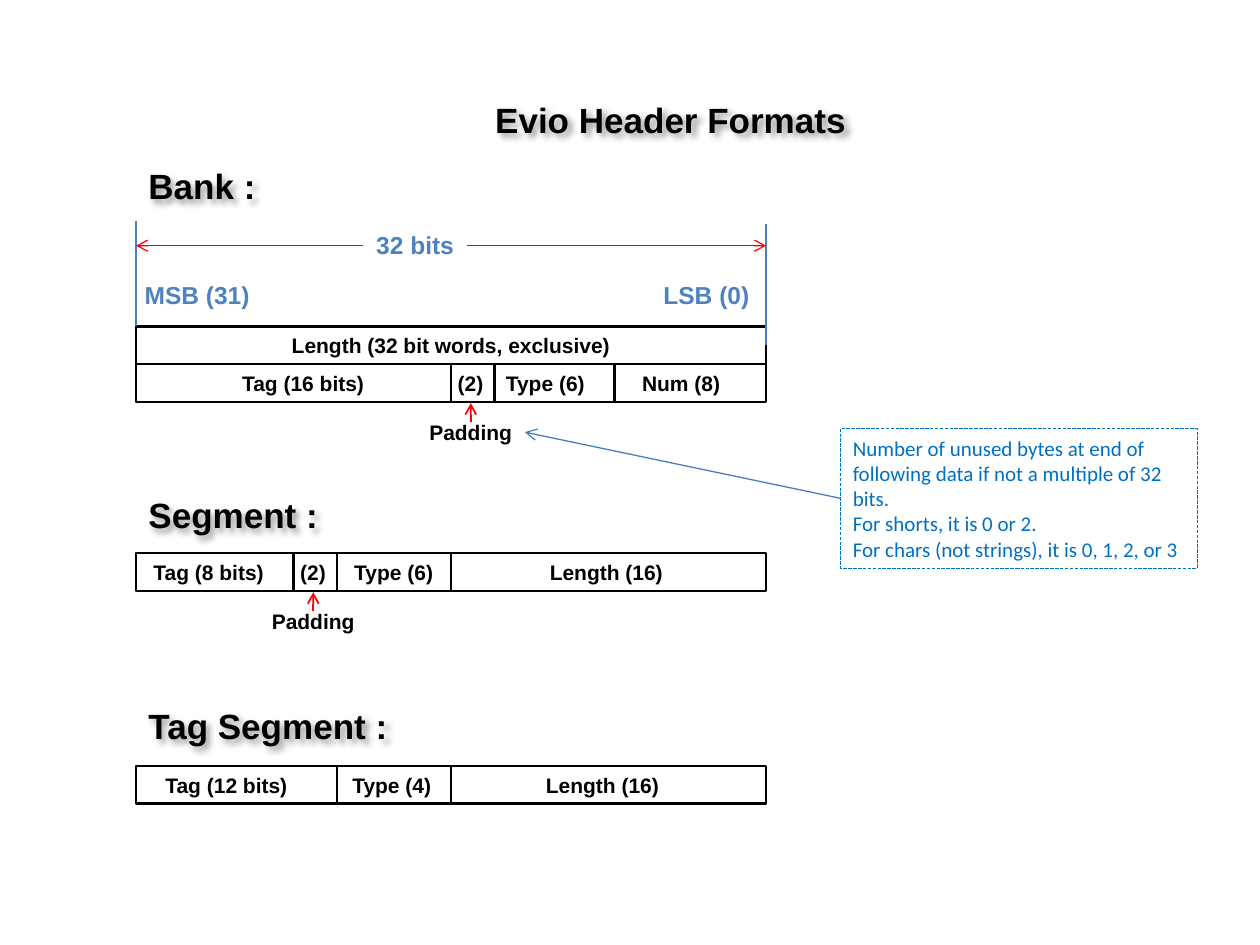
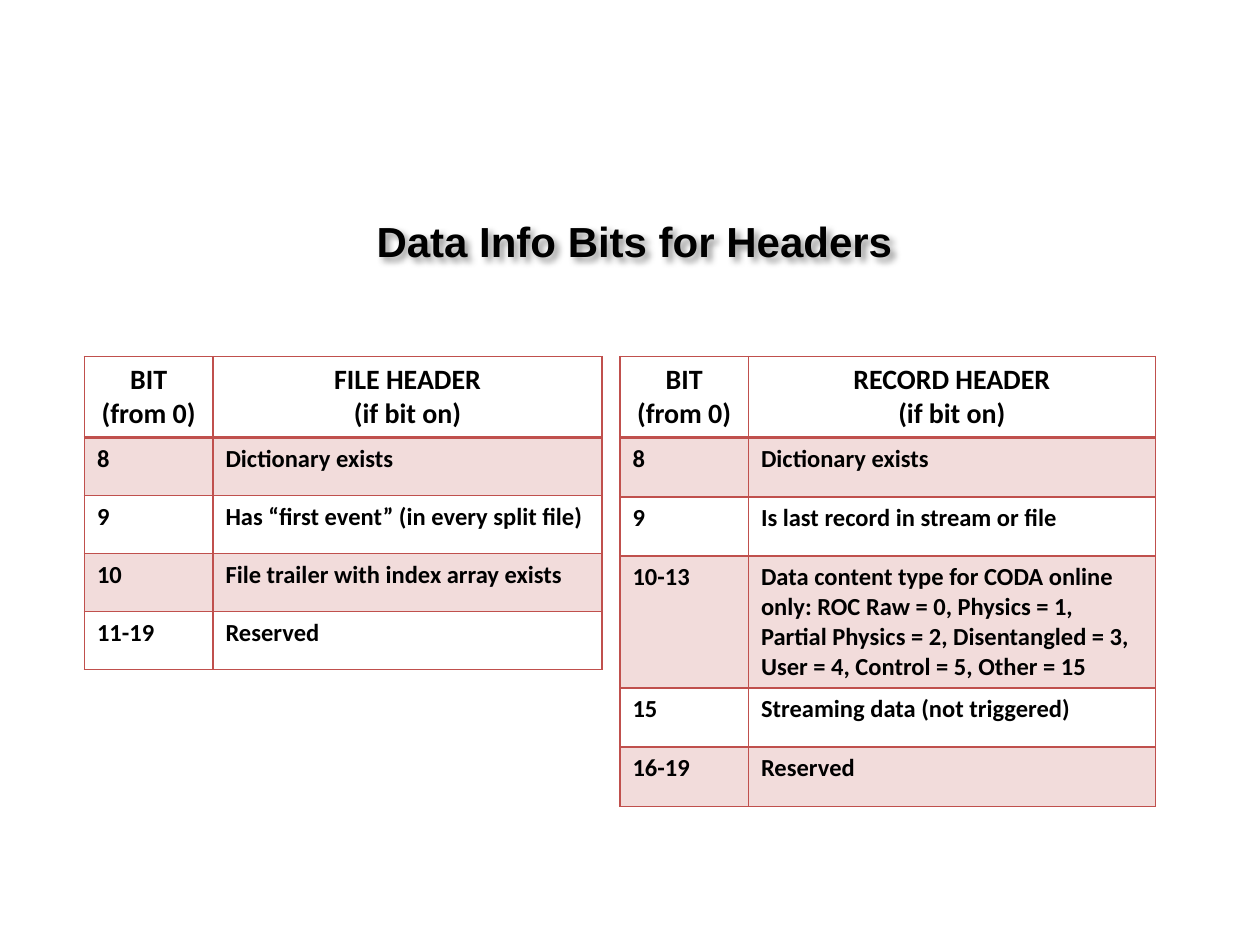
from collections import namedtuple

from lxml import etree
from pptx import Presentation
from pptx.dml.color import RGBColor
from pptx.enum.dml import MSO_LINE
from pptx.enum.shapes import MSO_CONNECTOR, MSO_SHAPE
from pptx.enum.text import MSO_ANCHOR, MSO_AUTO_SIZE, PP_ALIGN
from pptx.oxml import parse_xml
from pptx.oxml.ns import nsdecls, qn
from pptx.util import Inches, Pt

LEFT, CENTER = PP_ALIGN.LEFT, PP_ALIGN.CENTER
TOP, MIDDLE = MSO_ANCHOR.TOP, MSO_ANCHOR.MIDDLE
STRAIGHT, RECTANGLE = MSO_CONNECTOR.STRAIGHT, MSO_SHAPE.RECTANGLE
LONG_DASH, NO_AUTOSIZE = MSO_LINE.LONG_DASH, MSO_AUTO_SIZE.NONE

BLACK, RED, RULE_BLUE, LABEL_BLUE, NOTE_BLUE = (
    "000000", "FF0000", "4B7EBC", "4F81BD", "0070C0")
BORDER, BAND = "C0504D", "F2DCDB"
TITLE_ONLY = 5

# A 32-bit word is 32 columns wide and one row high
BIT, ROW = 5 / 32, 0.3
WORD_WIDTH = 32 * BIT
WORD_LEFT = 1.08
INSET = 0.1

Box = namedtuple("Box", "left top width height")
# A field has its text, the column of its centre and the column where it ends
Field = namedtuple("Field", "text centre end")

BANK_FIELDS = [Field("Tag (16 bits)", 8.5, 16), Field("(2)", 17, 18.2),
               Field("Type (6)", 20.8, 24.3), Field("Num (8)", 27.7, 32)]
SEGMENT_FIELDS = [Field("Tag (8 bits)", 3.7, 8), Field("(2)", 9, 10.2),
                  Field("Type (6)", 13.1, 16), Field("Length (16)", 23.9, 32)]
TAG_SEGMENT_FIELDS = [Field("Tag (12 bits)", 4.6, 10.2), Field("Type (4)", 13, 16),
                      Field("Length (16)", 23.7, 32)]

FILE_BITS = [
    ("BIT\n(from 0)", "FILE HEADER\n(if bit on)"),
    ("8", "Dictionary exists"),
    ("9", "Has “first event” (in every split file)"),
    ("10", "File trailer with index array exists"),
    ("11-19", "Reserved"),
]
RECORD_BITS = [
    ("BIT\n(from 0)", "RECORD HEADER\n(if bit on)"),
    ("8", "Dictionary exists"),
    ("9", "Is last record in stream or file"),
    ("10-13", "Data content type for CODA online only: ROC Raw = 0, Physics = 1, "
              "Partial Physics = 2, Disentangled = 3, User = 4, Control = 5, Other = 15"),
    ("15", "Streaming data (not triggered)"),
    ("16-19", "Reserved"),
]


def colour(value):
    return RGBColor.from_string(value)


def inches(box):
    return [Inches(length) for length in box]


def write(frame, text, size=12, font="Arial", color=BLACK, bold=True,
          align=LEFT, anchor=TOP, tabs=()):
    """Fill a text frame; each line of text is a paragraph, tabs are (inches, kind)."""
    frame.word_wrap = True
    frame.vertical_anchor = anchor
    for index, line in enumerate(text.split("\n")):
        para = frame.paragraphs[0] if index == 0 else frame.add_paragraph()
        para.alignment = align
        if tabs:
            stops = etree.SubElement(para._p.get_or_add_pPr(), qn("a:tabLst"))
            for position, kind in tabs:
                etree.SubElement(stops, qn("a:tab"), pos=str(Inches(position)), algn=kind)
        span = para.add_run()
        span.text = line
        span.font.size = Pt(size)
        span.font.name = font
        span.font.bold = bold
        span.font.color.rgb = colour(color)


def add_label(page, box, text, **style):
    label = page.shapes.add_textbox(*inches(box))
    write(label.text_frame, text, **style)
    return label


def add_frame(page, box, text, line=BLACK, weight=1.5, dash=None, **style):
    frame = page.shapes.add_shape(RECTANGLE, *inches(box))
    frame.shadow.inherit = False
    frame.fill.background()
    frame.line.color.rgb = colour(line)
    frame.line.width = Pt(weight)
    if dash:
        frame.line.dash_style = dash
    write(frame.text_frame, text, anchor=MIDDLE, **style)
    return frame


def add_line(page, start, end, color=BLACK, weight=1.5, arrow=False):
    line = page.shapes.add_connector(STRAIGHT, *inches(start + end))
    line.line.color.rgb = colour(color)
    line.line.width = Pt(weight)
    properties = line._element.spPr
    if arrow:
        etree.SubElement(properties.find(qn("a:ln")), qn("a:tailEnd"), type="arrow")
    etree.SubElement(properties, qn("a:effectLst"))
    return line


def cast_shadow(shape):
    shape._element.spPr.append(parse_xml(
        f'<a:effectLst {nsdecls("a")}><a:outerShdw blurRad="50800" dist="38100" '
        'dir="2700000" algn="tl" rotWithShape="0"><a:srgbClr val="000000">'
        '<a:alpha val="40000"/></a:srgbClr></a:outerShdw></a:effectLst>'))


def add_page(deck, title, box, **style):
    page = deck.slides.add_slide(deck.slide_layouts[TITLE_ONLY])
    heading = page.shapes.title
    heading.left, heading.top, heading.width, heading.height = inches(box)
    heading.text_frame.auto_size = NO_AUTOSIZE
    write(heading.text_frame, title, **style)
    cast_shadow(heading)
    return page


def add_heading(page, box, text):
    cast_shadow(add_label(page, box, text, size=20))


def add_word(page, box, fields):
    """One word: a frame, its tabbed field names and the lines between fields."""
    column = box.width / 32
    tabs = [(field.centre * column - INSET, "ctr") for field in fields]
    add_frame(page, box, "".join("\t" + field.text for field in fields), tabs=tabs)
    for field in fields[:-1]:
        x = box.left + field.end * column
        add_line(page, (x, box.top), (x, box.top + box.height))


def add_padding(page, word, field):
    """Label under a word, with an arrow up to the given field."""
    x = word.left + field.centre * word.width / 32
    bottom = word.top + word.height
    add_line(page, (x, bottom + 0.16), (x, bottom + 0.01), RED, 1, arrow=True)
    return add_label(page, Box(x - 0.43, bottom + 0.09, 0.86, ROW), "Padding", align=CENTER)


def add_ruler(page, box):
    """Width of a word: side lines, two arrows and the names of the end bits."""
    right = box.left + box.width
    middle = box.top + 0.2
    gap = Box(box.left + 1.8, box.top + 0.03, 0.83, 0.34)
    add_line(page, (box.left, box.top), (box.left, box.top + box.height), RULE_BLUE, 0.75)
    add_line(page, (right, gap.top), (right, box.top + box.height + ROW / 2), RULE_BLUE, 0.75)
    add_line(page, (gap.left, middle), (box.left, middle), RED, 0.75, arrow=True)
    add_line(page, (gap.left + gap.width, middle), (right, middle), RED, 0.75, arrow=True)
    add_label(page, gap, "32 bits", size=14, color=LABEL_BLUE, align=CENTER)
    add_label(page, Box(box.left - 0.03, box.top + 0.42, box.width, 0.34),
              "MSB (31)\tLSB (0)", size=14, color=LABEL_BLUE,
              tabs=[(box.width - 2 * INSET, "r")])


def add_bank(page, box):
    add_heading(page, Box(box.left, box.top, 1.06, 0.44), "Bank :")
    length = Box(box.left, box.top + box.height - 2 * ROW, box.width, ROW)
    word = length._replace(top=length.top + ROW)
    add_frame(page, length, "Length (32 bit words, exclusive)", align=CENTER)
    add_word(page, word, BANK_FIELDS)
    add_ruler(page, Box(box.left, box.top + 0.49, box.width, 0.84))
    return add_padding(page, word, BANK_FIELDS[1])


def add_segment(page, box, name, name_width, fields):
    add_heading(page, Box(box.left, box.top, name_width, 0.44), name)
    word = Box(box.left, box.top + box.height - ROW, box.width, ROW)
    add_word(page, word, fields)
    return word


def add_padding_note(page, box, padding):
    note = add_frame(
        page, box,
        "Number of unused bytes at end of following data if not a multiple of 32 bits.\n"
        "For shorts, it is 0 or 2.\n"
        "For chars (not strings), it is 0, 1, 2, or 3",
        line=NOTE_BLUE, weight=0.25, dash=LONG_DASH,
        font="Calibri", color=NOTE_BLUE, bold=False)
    pointer = add_line(page, (box.left, box.top), (box.left, box.top),
                       RULE_BLUE, 0.75, arrow=True)
    pointer.begin_connect(note, 1)
    pointer.end_connect(padding, 3)


def set_borders(cell, is_header):
    properties = cell._tc.get_or_add_tcPr()
    for side in "LRTB":
        weight = 2 if is_header and side == "B" else 1
        properties.append(parse_xml(
            f'<a:ln{side} {nsdecls("a")} w="{Pt(weight)}"><a:solidFill>'
            f'<a:srgbClr val="{BORDER}"/></a:solidFill></a:ln{side}>'))


def add_bit_table(page, box, rows, heights):
    table = page.shapes.add_table(len(rows), 2, *inches(box)).table
    table.first_row = table.horz_banding = False
    bit_width = 1.02
    table.columns[0].width = Inches(bit_width)
    table.columns[1].width = Inches(box.width - bit_width)
    for index, (texts, height) in enumerate(zip(rows, heights)):
        table.rows[index].height = Inches(height)
        is_header = index == 0
        for column, text in enumerate(texts):
            cell = table.cell(index, column)
            # The line under the header belongs to both rows
            set_borders(cell, is_header)
            if index == 1:
                cell._tc.tcPr.find(qn("a:lnT")).set("w", str(Pt(2)))
            if index % 2:
                cell.fill.solid()
                cell.fill.fore_color.rgb = colour(BAND)
            else:
                cell.fill.background()
            write(cell.text_frame, text, size=16 if is_header else 14,
                  font="Calibri", align=CENTER if is_header else LEFT)


def add_formats_page(deck):
    page = add_page(deck, "Evio Header Formats", Box(3.83, 0.73, 3.08, 0.44), size=20)
    padding = add_bank(page, Box(WORD_LEFT, 1.26, WORD_WIDTH, 1.93))
    segment = add_segment(page, Box(WORD_LEFT, 3.87, WORD_WIDTH, 0.82),
                          "Segment :", 1.58, SEGMENT_FIELDS)
    add_padding(page, segment, SEGMENT_FIELDS[1])
    add_segment(page, Box(WORD_LEFT, 5.54, WORD_WIDTH, 0.84),
                "Tag Segment :", 2.21, TAG_SEGMENT_FIELDS)
    add_padding_note(page, Box(6.67, 3.4, 2.83, 1.11), padding)


def add_bits_page(deck):
    page = add_page(deck, "Data Info Bits for Headers", Box(2.41, 1.66, 5.25, 0.5),
                    size=24, align=CENTER)
    add_bit_table(page, Box(4.92, 2.83, 4.25, 3.55), RECORD_BITS,
                  [0.63, 0.47, 0.47, 1.04, 0.47, 0.47])
    add_bit_table(page, Box(0.67, 2.83, 4.11, 2.48), FILE_BITS, [0.63] + [0.46] * 4)


def main():
    deck = Presentation()
    deck.slide_width, deck.slide_height = Inches(10), Inches(7.5)
    add_formats_page(deck)
    add_bits_page(deck)
    deck.save("out.pptx")


if __name__ == "__main__":
    main()
